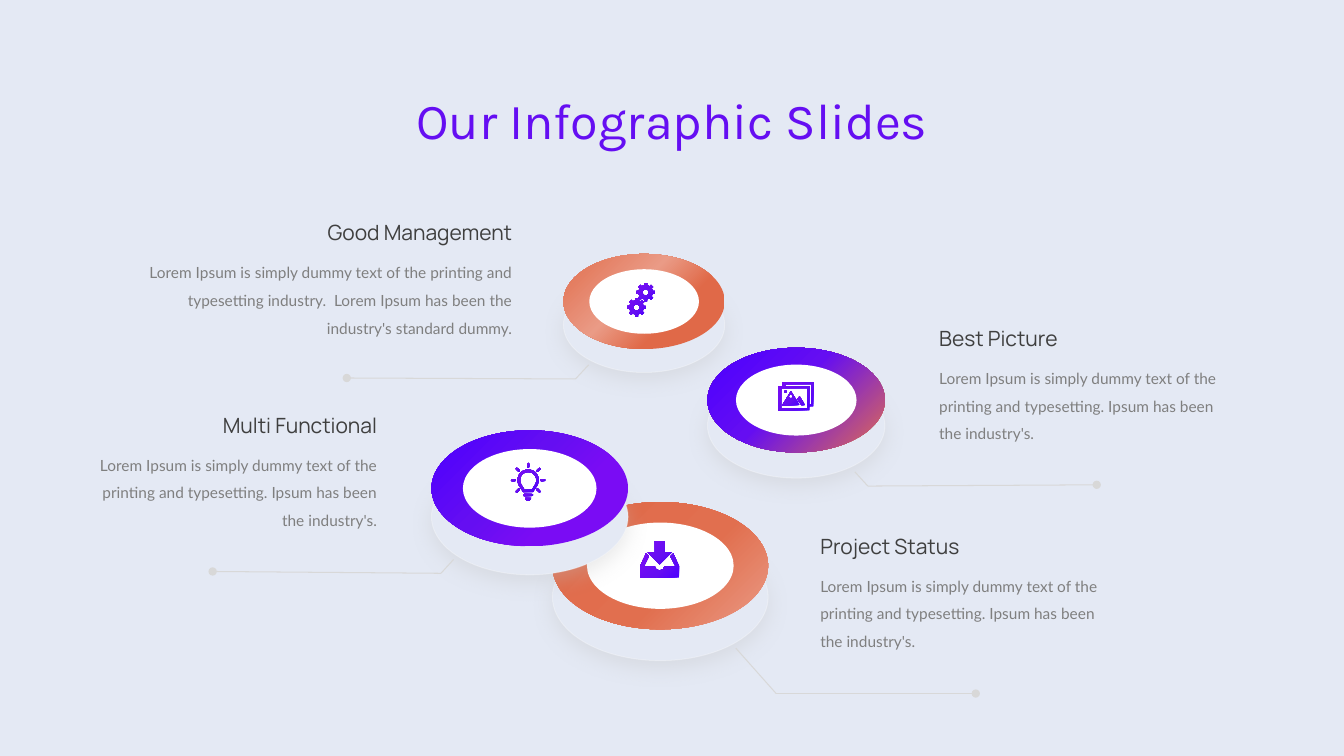
from math import cos, radians, sin

from lxml.etree import SubElement
from pptx import Presentation
from pptx.dml.color import RGBColor
from pptx.enum.shapes import MSO_CONNECTOR, MSO_SHAPE
from pptx.enum.text import MSO_AUTO_SIZE, PP_ALIGN
from pptx.oxml.ns import qn
from pptx.util import Pt

COLORS = {
    "page": "E4E9F4",
    "title": "650EF2",
    "heading": "3F3F3F",
    "body": "7F7F7F",
    "white": "FFFFFF",
    "shadow": "BFBFBF",
    "leader": "D8D8D8",
    "blue": "4C00FF",
    "violet": "650EF2",
    "purple": "7A0CF4",
    "rust": "E06948",
    "coral": "E16F4F",
    "peach": "EA9B86",
}
ICON_STOPS = [(0, "purple"), (59, "violet"), (100, "blue")]
SHORT_BODY = ("Lorem Ipsum is simply dummy text of the printing and typesetting. "
              "Ipsum has been the industry's.")
LONG_BODY = ("Lorem Ipsum is simply dummy text of the printing and typesetting industry.  "
             "Lorem Ipsum has been the industry's standard dummy.")

TOPICS = [
    ("Good Management", LONG_BODY, 373, 153.4, 284.4, PP_ALIGN.RIGHT),
    ("Multi Functional", SHORT_BODY, 276.5, 290.9, 227.5, PP_ALIGN.RIGHT),
    ("Best Picture", SHORT_BODY, 663.8, 229, 227.5, PP_ALIGN.LEFT),
    ("Project Status", SHORT_BODY, 578.9, 377.3, 227.5, PP_ALIGN.LEFT),
]
DISCS = [
    (394.6, 358.6, 154.1, [(0, "rust"), (1, "rust"), (59, "coral"), (100, "peach")]),
    (308.2, 307.4, 140.4, [(0, "blue"), (1, "blue"), (42, "violet"), (67, "purple"), (100, "purple")]),
    (402.5, 181.4, 115.2, [(0, "coral"), (1, "coral"), (42, "peach"), (67, "rust"), (100, "rust")]),
    (505.4, 248.4, 126.7, [(0, "blue"), (1, "blue"), (45, "violet"), (100, "coral")]),
]
LEADERS = [
    [(420.5, 260.6), (411.1, 270.7), (247.7, 270)],
    [(324, 399.6), (315, 409.5), (151.9, 408.2)],
    [(525.6, 463), (554.4, 495.4), (697, 495.4)],
    [(610.6, 337), (619.9, 347.2), (783.4, 346.3)],
]


def rgb(name):
    return RGBColor.from_string(COLORS[name])


def add_color(parent, name, alpha=None):
    color = SubElement(parent, qn("a:srgbClr"), val=COLORS[name])
    if alpha is not None:
        SubElement(color, qn("a:alpha"), val=str(alpha * 1000))


def fill_radial(shape, stops):
    shape.fill.gradient()
    gradient = shape._element.spPr.find(qn("a:gradFill"))
    for child in list(gradient):
        gradient.remove(child)
    stop_list = SubElement(gradient, qn("a:gsLst"))
    for position, name in stops:
        add_color(SubElement(stop_list, qn("a:gs"), pos=str(position * 1000)), name)
    path = SubElement(gradient, qn("a:path"), {"path": "circle"})
    SubElement(path, qn("a:fillToRect"), r="100000", b="100000")


def style(shape, fill):
    shape.shadow.inherit = False
    shape.line.fill.background()
    if isinstance(fill, str):
        shape.fill.solid()
        shape.fill.fore_color.rgb = rgb(fill)
    else:
        fill_radial(shape, fill)
    return shape


def add_centered(slide, preset, cx, cy, width, height, fill):
    shape = slide.shapes.add_shape(
        preset, Pt(cx - width / 2), Pt(cy - height / 2), Pt(width), Pt(height))
    return style(shape, fill)


def add_text(slide, text, left, top, width, height, size, face, color, align, spacing=None):
    box = slide.shapes.add_textbox(Pt(left), Pt(top), Pt(width), Pt(height))
    frame = box.text_frame
    frame.word_wrap = True
    frame.auto_size = MSO_AUTO_SIZE.SHAPE_TO_FIT_TEXT
    paragraph = frame.paragraphs[0]
    paragraph.text = text
    paragraph.alignment = align
    paragraph.line_spacing = spacing
    paragraph.font.size = Pt(size)
    paragraph.font.name = face
    paragraph.font.color.rgb = rgb(color)


def add_topic(slide, heading, body, edge, top, width, align):
    on_right_edge = align == PP_ALIGN.RIGHT
    for text, offset, span, height, *look in (
            (body, 24.5, width, 65, 11, "Lato", "body", align, 1.5),
            (heading, 0, 168, 25.4, 15, "Manrope", "heading", align)):
        left = edge - span if on_right_edge else edge
        add_text(slide, text, left, top + offset, span, height, *look)


def add_disc(slide, left, top, width, stops):
    height = width * 0.59
    cx, cy = left + width / 2, top + height / 2
    base = add_centered(slide, MSO_SHAPE.OVAL, cx, cy + width * 0.145, width, height, "page")
    base.line.width = Pt(0.75)
    base.line.color.rgb = rgb("white")
    properties = base._element.spPr
    edge = properties.find(".//" + qn("a:ln") + "//" + qn("a:srgbClr"))
    SubElement(edge, qn("a:alpha"), val="30000")
    shadow = SubElement(
        properties.find(qn("a:effectLst")), qn("a:outerShdw"), blurRad=str(Pt(15)),
        dist=str(Pt(5)), dir="5400000", algn="t", rotWithShape="0")
    add_color(shadow, "shadow", 33)
    add_centered(slide, MSO_SHAPE.OVAL, cx, cy, width, height, stops)
    add_centered(slide, MSO_SHAPE.OVAL, cx, cy, width * 0.68, width * 0.4, "white")


def add_leader(slide, points):
    for start, end in zip(points, points[1:]):
        segment = slide.shapes.add_connector(
            MSO_CONNECTOR.STRAIGHT, *(Pt(value) for value in start + end))
        segment.line.width = Pt(0.75)
        segment.line.color.rgb = rgb("leader")
        SubElement(segment._element.spPr, qn("a:effectLst"))
    SubElement(segment.line._get_or_add_ln(), qn("a:tailEnd"), type="oval")


def add_outline(slide, cx, cy, *contours):
    placed = [[(Pt(cx + x), Pt(cy + y)) for x, y in contour] for contour in contours]
    builder = slide.shapes.build_freeform(*placed[0][0])
    builder.add_line_segments(placed[0][1:])
    for contour in placed[1:]:
        builder.move_to(*contour[0])
        builder.add_line_segments(contour[1:])
    style(builder.convert_to_shape(), ICON_STOPS)


def polar(radius, angle):
    return radius * cos(radians(angle)), radius * sin(radians(angle))


def arc(radius, start, end):
    return [polar(radius, angle) for angle in range(start, end + 1, 10)]


def mirrored(half):
    return half + [(-x, y) for x, y in reversed(half)]


def rectangle(left, top, right, bottom):
    return [(left, top), (right, top), (right, bottom), (left, bottom)]


def add_gear(slide, cx, cy):
    teeth = [polar(radius, tooth + turn)
             for tooth in range(0, 360, 45)
             for radius, turn in ((5.15, -12), (6.6, -9.5), (6.6, 9.5), (5.15, 12))]
    add_outline(slide, cx, cy, teeth, arc(2.2, 0, 350))


def add_bulb(slide, cx, cy):
    bar = add_centered(slide, MSO_SHAPE.ROUNDED_RECTANGLE, cx, cy + 10.6, 7.2, 1.5, ICON_STOPS)
    bar.adjustments[0] = 0.5
    add_outline(slide, cx, cy + 12.7, arc(2, 0, 180))
    add_outline(slide, cx, cy,
                arc(7.6, 150, 390) + [(3.6, 8.5), (-3.6, 8.5)],
                arc(5.8, 150, 390) + [(2.9, 6.4), (-2.9, 6.4)])
    for angle in range(-225, 46, 45):
        x, y = polar(10.5, angle)
        ray = add_centered(slide, MSO_SHAPE.ROUNDED_RECTANGLE, cx + x, cy + y, 3.6, 1.5, ICON_STOPS)
        ray.adjustments[0] = 0.5
        ray.rotation = angle % 360


def add_photos(slide, cx, cy):
    add_outline(slide, cx, cy, [(1.1, 2.2), (2.7, 0), (6.8, 6.5), (4.1, 6.5)])
    add_outline(slide, cx, cy,
                [(-9.7, 6.5), (-3.5, -3.6), (2.9, 6.5)],
                [(-2.5, 0.7), (-3.2, 2.2), (-4.7, 0.7), (-6.1, 2.2), (-3.5, -2.2), (-1.1, 2.2)])
    add_centered(slide, MSO_SHAPE.OVAL, cx - 7.2, cy - 3.2, 1.7, 1.7, ICON_STOPS)
    add_outline(slide, cx, cy,
                [(-9.7, -10.1), (12.6, -10.1), (12.6, 7.2), (9.7, 7.2),
                 (9.7, 10.1), (-12.6, 10.1), (-12.6, -7.2), (-9.7, -7.2)],
                rectangle(-10.4, -5.8, 8.3, 8.6),
                [(11.2, 5.8), (9.7, 5.8), (9.7, -7.2), (-7.6, -7.2), (-7.6, -8.6), (11.2, -8.6)])


def add_inbox(slide, cx, cy):
    add_outline(slide, cx, cy, mirrored(
        [(0, 7.9), (2.4, 7), (3.4, 5), (11.2, 5), (7.6, -2.2), (9.7, -4.3), (14, 5), (14, 13)]))
    add_outline(slide, cx, cy, mirrored(
        [(0, -13), (3.4, -13), (3.4, -5), (8.6, -5), (0, 3.6)]))


def main():
    deck = Presentation()
    deck.slide_width, deck.slide_height = Pt(960), Pt(540)
    slide = deck.slides.add_slide(deck.slide_layouts[6])
    slide.background.fill.solid()
    slide.background.fill.fore_color.rgb = rgb("page")
    for topic in TOPICS:
        add_topic(slide, *topic)
    add_text(slide, "Our Infographic Slides", 267, 59.8, 426, 51, 36, "Karla", "title",
             PP_ALIGN.CENTER)
    for disc in DISCS:
        add_disc(slide, *disc)
    for leader in LEADERS:
        add_leader(slide, leader)
    add_bulb(slide, 377.3, 343)
    add_gear(slide, 461.2, 208.8)
    add_gear(slide, 454.7, 219.6)
    add_photos(slide, 568.4, 283)
    add_inbox(slide, 471.2, 399.6)
    deck.save("out.pptx")


if __name__ == "__main__":
    main()
